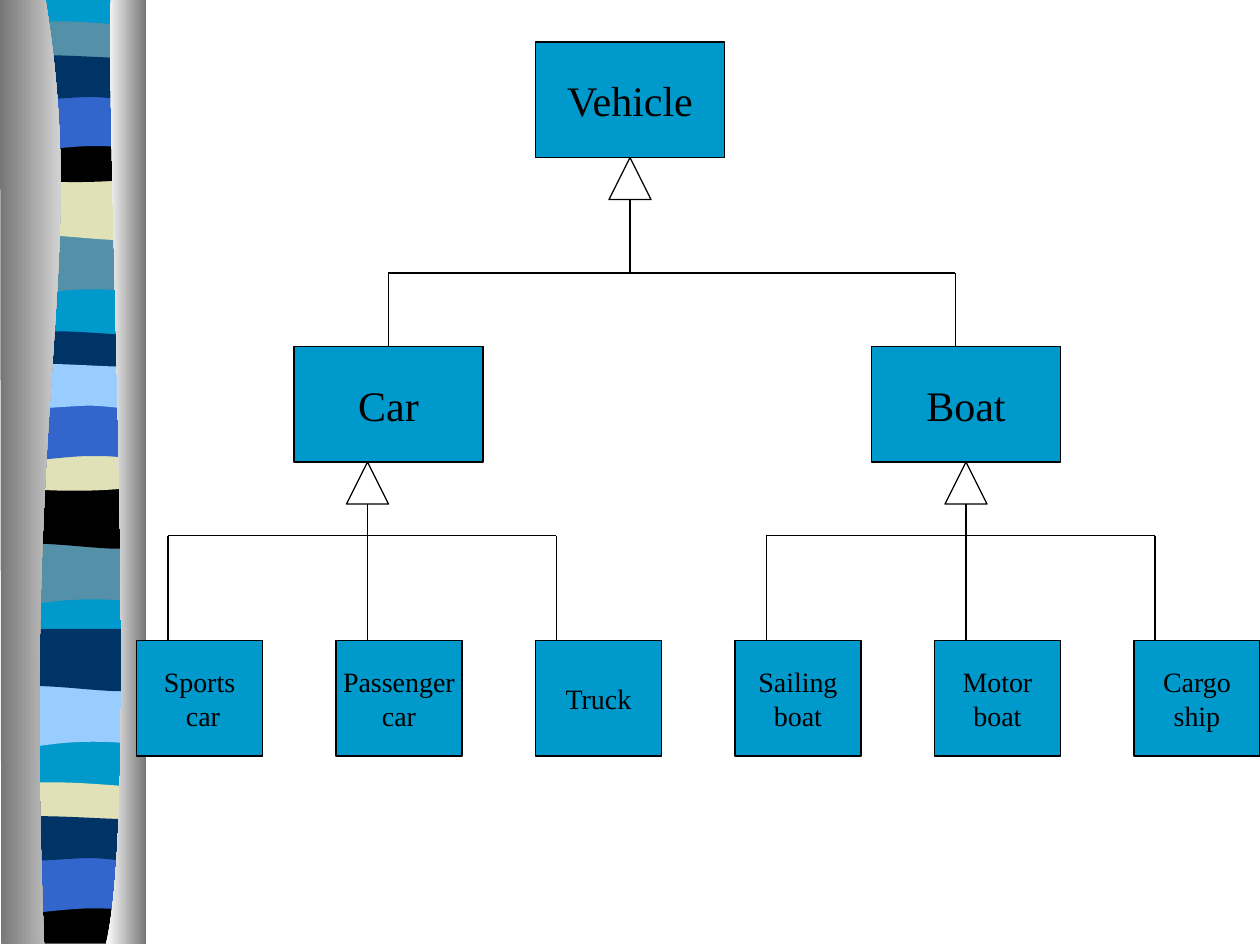
from dataclasses import dataclass

from lxml import etree
from pptx import Presentation
from pptx import util as u
from pptx.dml.color import RGBColor
from pptx.enum import shapes, text
from pptx.oxml.ns import qn


@dataclass(frozen=True)
class Theme:
    font: str = "Times New Roman"
    ink: str = "000000"
    box: str = "0099CC"
    steel: str = "5490A8"
    sand: str = "E1E1B7"
    blue: str = "3366CC"
    navy: str = "003366"
    sky: str = "99CCFF"
    shade: str = "767676"
    light: str = "FFFFFF"
    large: int = 24
    small: int = 16
    line: float = 0.75


THEME = Theme()
BOX_HEIGHT = 11
TRIANGLE = 4
LEAF_TOP = 61
LEAF_STEP = 19

PROFILES = {
    "base": [(1.08, 0), (1.08, 7.48), (0, 7.48), (0, 0)],
    "wave": [(1.08, 0), (1.08, 0.47), (0.33, 0.39, 0.18, 0.55, 0, 0.47), (0, 0)],
    "swell": [(1.08, 0), (1.08, 0.47), (0.9, 0.55, 0.33, 0.41, 0, 0.47), (0, 0)],
    "lens": [(1.08, 0.05), (1.08, 0.29), (0.9, 0.33, 0.18, 0.33, 0, 0.29), (0, 0.05),
             (0.06, 0, 0.23, 0.01, 0.41, 0.01), (0.59, 0.01, 0.94, 0.04, 1.08, 0.05)],
    "bowl": [(1.08, 0), (1.08, 0.32), (0.9, 0.38, 0.18, 0.38, 0, 0.32), (0, 0),
             (0.66, 0.05, 0.85, 0, 1.08, 0)],
    "foot": [(1.08, 0), (1.08, 0.37), (0, 0.37), (0, 0), (0.66, 0.05, 0.85, 0, 1.08, 0)],
    "arch": [(1.08, 0), (1.08, 0.47), (0.91, 0.42, 0.84, 0.42, 0.66, 0.42),
             (0.48, 0.42, 0.16, 0.47, 0, 0.47), (0, 0)],
    "ribbon": [(1.08, 0.05), (1.08, 0.36), (1.01, 0.41, 0.84, 0.36, 0.66, 0.36),
               (0.48, 0.36, 0.11, 0.41, 0, 0.36), (0, 0.05),
               (0.15, 0, 0.73, 0.05, 0.91, 0.05), (1.09, 0.05, 1.04, 0.05, 1.08, 0.05)],
}
BANDS = [
    ("base", 0.06, -0.01, THEME.box),
    ("wave", 0.06, 1.85, THEME.steel), ("swell", 0.06, 1.41, THEME.sand),
    ("lens", 0.06, 0.16, THEME.steel), ("bowl", 0.06, 1.08, THEME.ink),
    ("arch", 0.06, 0.74, THEME.blue), ("ribbon", 0.06, 0.41, THEME.navy),
    ("wave", 0.05, 4.31, THEME.steel), ("swell", 0.05, 3.86, THEME.ink),
    ("lens", 0.05, 2.62, THEME.navy), ("bowl", 0.05, 3.53, THEME.sand),
    ("arch", 0.05, 3.2, THEME.blue), ("ribbon", 0.05, 2.86, THEME.sky),
    ("wave", 0.06, 5.44, THEME.sky), ("swell", 0.06, 4.99, THEME.navy),
    ("lens", 0.05, 6.2, THEME.sand), ("foot", 0.05, 7.12, THEME.ink),
    ("arch", 0.05, 6.79, THEME.blue), ("ribbon", 0.05, 6.45, THEME.navy),
]
LEFT_POST = [(0.36, -0.01), (0.71, 2.16, 0.17, 2.96, 0.35, 7.49), (0.01, 7.49), (0, -0.01)]
RIGHT_POST = [(0.88, -0.01), (0.84, 1.25, 1.11, 6.46, 0.84, 7.49), (1.16, 7.49), (1.16, 0)]
LEAVES = ["Sports\n car", "Passenger\ncar", "Truck", "Sailing\nboat", "Motor\nboat", "Cargo\nship"]


def twelfths(*counts):
    return [u.Inches(count / 12) for count in counts]


def write(frame, content, *, size, color, font, align=text.PP_ALIGN.CENTER):
    frame.word_wrap = False
    frame.vertical_anchor = text.MSO_ANCHOR.MIDDLE
    for index, line in enumerate(content.split("\n")):
        para = frame.add_paragraph() if index else frame.paragraphs[0]
        para.alignment = align
        span = para.add_run()
        span.text = line
        span.font.size = u.Pt(size)
        span.font.name = font
        span.font.color.rgb = RGBColor.from_string(color)


class Diagram:
    def __init__(self, page, theme):
        self.page = page
        self.theme = theme

    def stroke(self, item):
        item.line.color.rgb = RGBColor.from_string(self.theme.ink)
        item.line.width = u.Pt(self.theme.line)

    def outline(self, steps, left=0, top=0):
        points = [(u.Inches(left + x), u.Inches(top + y))
                  for step in steps for x, y in zip(step[::2], step[1::2])]
        builder = self.page.shapes.build_freeform(*points[0])
        builder.add_line_segments(points[1:], close=True)
        shape = builder.convert_to_shape()
        segments = iter(list(shape._element.spPr.iter(qn("a:lnTo"))))
        for step in steps[1:]:
            segment = next(segments)
            if len(step) == 6:
                curve = etree.Element(qn("a:cubicBezTo"))
                segment.addprevious(curve)
                for part in (segment, next(segments), next(segments)):
                    curve.append(part[0])
                    part.getparent().remove(part)
        shape.shadow.inherit = False
        shape.line.fill.background()
        return shape

    def band(self, profile, left, top, color):
        shape = self.outline(PROFILES[profile], left, top)
        shape.fill.solid()
        shape.fill.fore_color.rgb = RGBColor.from_string(color)

    def post(self, steps, colors):
        shape = self.outline(steps)
        shape.fill.gradient()
        shape.fill.gradient_angle = 0
        for stop, color in zip(shape.fill.gradient_stops, colors):
            stop.color.rgb = RGBColor.from_string(color)

    def preset(self, kind, left, top, width, height):
        shape = self.page.shapes.add_shape(kind, *twelfths(left, top, width, height))
        shape.shadow.inherit = False
        self.stroke(shape)
        return shape

    def box(self, label, left, top, width, size):
        box = self.preset(shapes.MSO_SHAPE.RECTANGLE, left, top, width, BOX_HEIGHT)
        box.fill.solid()
        box.fill.fore_color.rgb = RGBColor.from_string(self.theme.box)
        write(box.text_frame, label, size=size, color=self.theme.ink, font=self.theme.font)
        return box

    def triangle(self, center, top):
        shape = self.preset(shapes.MSO_SHAPE.FLOWCHART_EXTRACT,
                            center - TRIANGLE / 2, top, TRIANGLE, TRIANGLE)
        shape.fill.background()

    def line(self, x1, y1, x2, y2, end=None):
        line = self.page.shapes.add_connector(
            shapes.MSO_CONNECTOR.STRAIGHT, *twelfths(x1, y1, x2, y2))
        self.stroke(line)
        etree.SubElement(line._element.spPr, qn("a:effectLst"))
        if end is not None:
            line.end_connect(end, 0)

    def branch(self, center, top, bus, bottom, drops, first=None):
        self.triangle(center, top)
        self.line(center, top + TRIANGLE, center, bus)
        self.line(drops[0], bus, drops[-1], bus)
        for x in drops:
            self.line(x, bus, x, bottom, end=first if x == drops[0] else None)


def main():
    deck = Presentation()
    deck.slide_width, deck.slide_height = u.Inches(10), u.Inches(7.5)
    diagram = Diagram(deck.slides.add_slide(deck.slide_layouts[6]), THEME)

    for band in BANDS:
        diagram.band(*band)
    diagram.post(LEFT_POST, (THEME.shade, THEME.light))
    diagram.post(RIGHT_POST, (THEME.light, THEME.shade))

    for index, label in enumerate(LEAVES):
        diagram.box(label, 13 + index * LEAF_STEP, LEAF_TOP, 12, THEME.small)
    diagram.box("Vehicle", 51, 4, 18, THEME.large)
    car = diagram.box("Car", 28, 33, 18, THEME.large)
    diagram.box("Boat", 83, 33, 18, THEME.large)

    diagram.branch(35, 44, 51, LEAF_TOP, (16, 35, 53))
    diagram.branch(92, 44, 51, LEAF_TOP, (73, 92, 110))
    diagram.branch(60, 15, 26, 33, (37, 91), first=car)
    deck.save("out.pptx")


if __name__ == "__main__":
    main()
